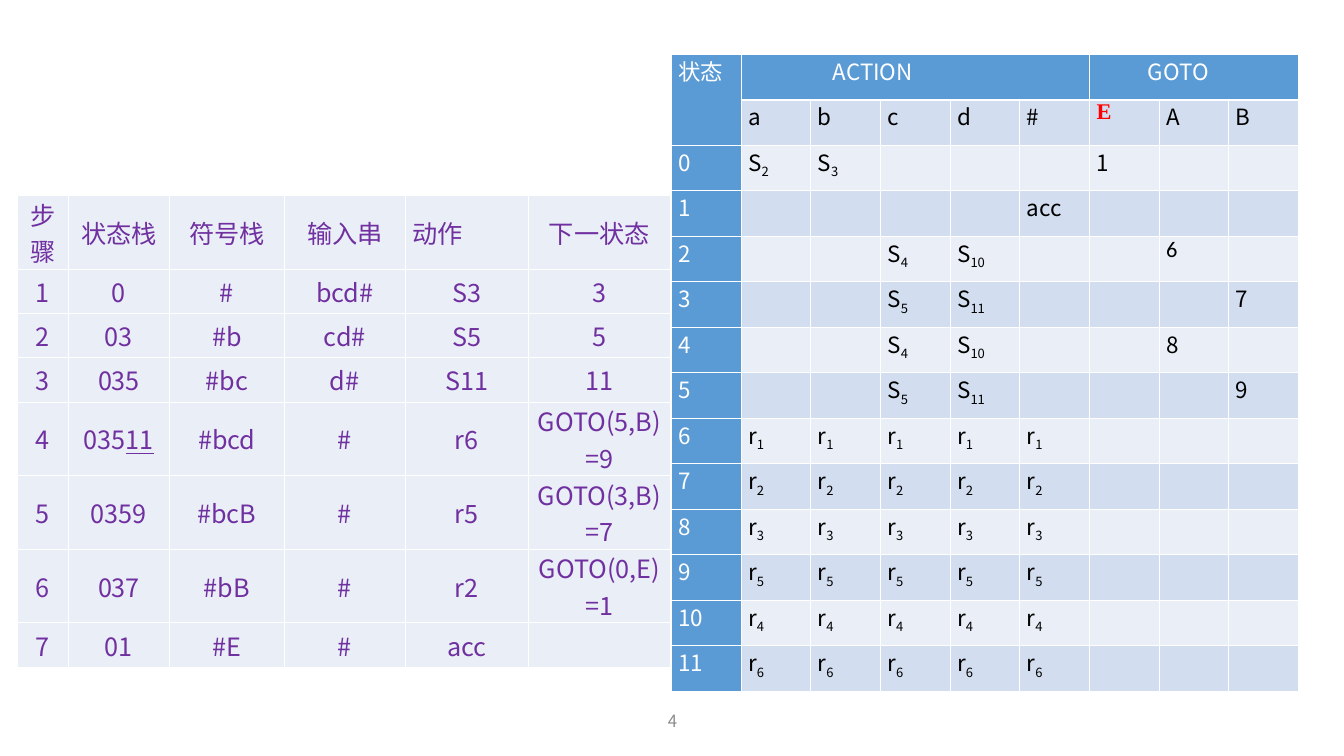
from dataclasses import dataclass, field

from lxml import etree
from pptx import Presentation
from pptx.dml.color import RGBColor
from pptx.enum.text import MSO_ANCHOR, PP_ALIGN
from pptx.oxml.ns import qn
from pptx.util import Inches, Pt

CENTER, JUSTIFY = PP_ALIGN.CENTER, PP_ALIGN.JUSTIFY
TOP, MIDDLE = MSO_ANCHOR.TOP, MSO_ANCHOR.MIDDLE
FONT = "Noto Sans CJK SC"
COLORS = {
    "header": "5B9BD5", "dark_band": "D2DEEF", "light_band": "EAEFF7",
    "white": "FFFFFF", "black": "000000", "red": "FF0000",
    "purple": "7030A0", "gray": "8C8C8C",
}


@dataclass
class CellStyle:
    fill: str
    color: str
    size: float
    align: PP_ALIGN
    anchor: MSO_ANCHOR
    font: str = FONT
    bold: bool = False
    left_margin: float = 0.07
    tail: str = "subscript"  # how the part after "_" is set


@dataclass
class Grid:
    left: float
    top: float
    widths: list[float]
    heights: list[float]
    rows: list[list[str]]
    merges: list[tuple[int, int, int, int]] = field(default_factory=list)


def format_span(span, style: CellStyle) -> None:
    span.font.size = Pt(style.size)
    span.font.bold = style.bold
    span.font.name = style.font
    span.font.color.rgb = RGBColor.from_string(COLORS[style.color])
    east_asian = etree.SubElement(span.font._element, qn("a:ea"))
    east_asian.set("typeface", style.font)


def add_borders(cell) -> None:
    properties = cell._tc.get_or_add_tcPr()
    for side in "LRTB":
        line = etree.SubElement(properties, qn(f"a:ln{side}"), w=str(Pt(1)))
        fill = etree.SubElement(line, qn("a:solidFill"))
        etree.SubElement(fill, qn("a:srgbClr"), val=COLORS["white"])


def fill_cell(cell, text: str, style: CellStyle) -> None:
    add_borders(cell)
    cell.fill.solid()
    cell.fill.fore_color.rgb = RGBColor.from_string(COLORS[style.fill])
    cell.margin_left, cell.margin_right = Inches(style.left_margin), Inches(0.07)
    cell.margin_top = cell.margin_bottom = 0
    cell.vertical_anchor = style.anchor
    para = cell.text_frame.paragraphs[0]
    para.alignment = style.align
    main_part, _, tail = text.partition("_")
    for index, part in enumerate((main_part, tail)):
        if not part:
            continue
        span = para.add_run()
        span.text = part
        format_span(span, style)
        if index == 1 and style.tail == "subscript":
            span.font._element.set("baseline", "-25000")
        elif index == 1:
            span.font.underline = True


def add_grid(page, grid: Grid, style_for) -> None:
    table = page.shapes.add_table(
        len(grid.heights), len(grid.widths), Inches(grid.left), Inches(grid.top),
        Inches(sum(grid.widths)), Inches(sum(grid.heights))).table
    table.first_row = table.horz_banding = False
    for column, width in zip(table.columns, grid.widths):
        column.width = Inches(width)
    for row, height in zip(table.rows, grid.heights):
        row.height = Inches(height)
    for first_row, first_column, last_row, last_column in grid.merges:
        table.cell(first_row, first_column).merge(table.cell(last_row, last_column))
    for row_index, texts in enumerate(grid.rows):
        for column_index, text in enumerate(texts):
            fill_cell(table.cell(row_index, column_index), text,
                      style_for(row_index, column_index))


def parse_style(row: int, column: int) -> CellStyle:
    band = "dark_band" if row % 2 else "light_band"
    style = CellStyle(band, "black", 16, JUSTIFY, TOP)
    if row == 0 or column == 0:
        style.fill, style.color = "header", "white"
    if row == 0:
        style.left_margin = {1: 0.91, 6: 0.58}.get(column, 0.07)
    if (row, column) == (1, 6):
        style.font, style.color, style.bold = "Times New Roman", "red", True
    if (row, column) == (4, 7):
        style.font = "Calibri"
    return style


def step_style(row: int, column: int) -> CellStyle:
    align = JUSTIFY if (row, column) == (0, 4) else CENTER
    return CellStyle("light_band", "purple", 18, align, MIDDLE, tail="underline")


def parse_rows() -> list[list[str]]:
    rows = [
        ["状态", "ACTION", "", "", "", "", "GOTO", "", ""],
        ["", "a", "b", "c", "d", "#", "E", "A", "B"],
        ["0", "S_2", "S_3", "", "", "", "1", "", ""],
        ["1", "", "", "", "", "acc", "", "", ""],
        ["2", "", "", "S_4", "S_10", "", "", "6", ""],
        ["3", "", "", "S_5", "S_11", "", "", "", "7"],
        ["4", "", "", "S_4", "S_10", "", "", "8", ""],
        ["5", "", "", "S_5", "S_11", "", "", "", "9"],
    ]
    # States 6 to 11 reduce by one rule on every terminal
    for state, rule in enumerate((1, 2, 3, 5, 4, 6), start=6):
        rows.append([str(state)] + [f"r_{rule}"] * 5 + [""] * 3)
    return rows


STEP_ROWS = [
    ["步骤", "状态栈", "符号栈", "输入串", "动作", "下一状态"],
    ["1", "0", "#", "bcd#", "S3", "3"],
    ["2", "03", "#b", "cd#", "S5", "5"],
    ["3", "035", "#bc", "d#", "S11", "11"],
    ["4", "035_11", "#bcd", "#", "r6", "GOTO(5,B)=9"],
    ["5", "0359", "#bcB", "#", "r5", "GOTO(3,B)=7"],
    ["6", "037", "#bB", "#", "r2", "GOTO(0,E)=1"],
    ["7", "01", "#E", "#", "acc", ""],
]


def step_height(texts: list[str]) -> float:
    two_lines = texts[0] == "步骤" or texts[-1].startswith("GOTO")
    return 0.73 if two_lines else 0.44


def add_page_number(page, number: str) -> None:
    box = page.shapes.add_textbox(Inches(4.42), Inches(6.95), Inches(4.5), Inches(0.4))
    frame = box.text_frame
    frame.word_wrap = True
    frame.vertical_anchor = MIDDLE
    para = frame.paragraphs[0]
    para.text = number
    para.alignment = CENTER
    format_span(para.runs[0], CellStyle("white", "gray", 12, CENTER, MIDDLE))


def main() -> None:
    deck = Presentation()
    deck.slide_width, deck.slide_height = Inches(13.33), Inches(7.5)
    page = deck.slides.add_slide(deck.slide_layouts[6])
    add_page_number(page, "4")

    # Parsing table: ACTION and GOTO
    merges = [(0, 0, 1, 0), (0, 1, 0, 5), (0, 6, 0, 8)]
    add_grid(page, Grid(6.66, 0.54, [6.22 / 9] * 9, [6.32 / 14] * 14,
                        parse_rows(), merges), parse_style)

    # Analysis steps
    step_heights = [step_height(texts) for texts in STEP_ROWS]
    add_grid(page, Grid(0.17, 1.94, [0.51, 1, 1.14, 1.2, 1.22, 1.41],
                        step_heights, STEP_ROWS), step_style)
    deck.save("out.pptx")


if __name__ == "__main__":
    main()
